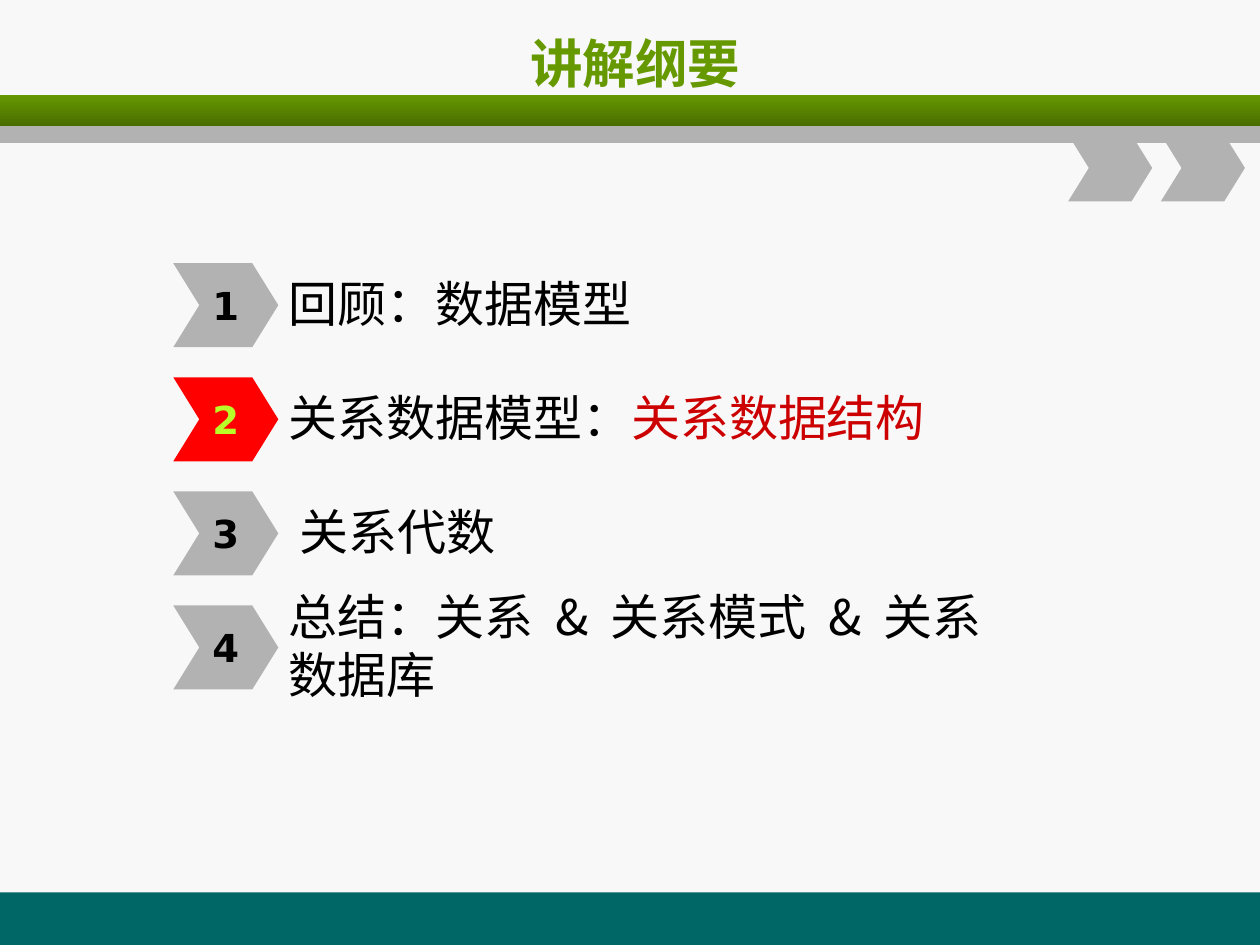
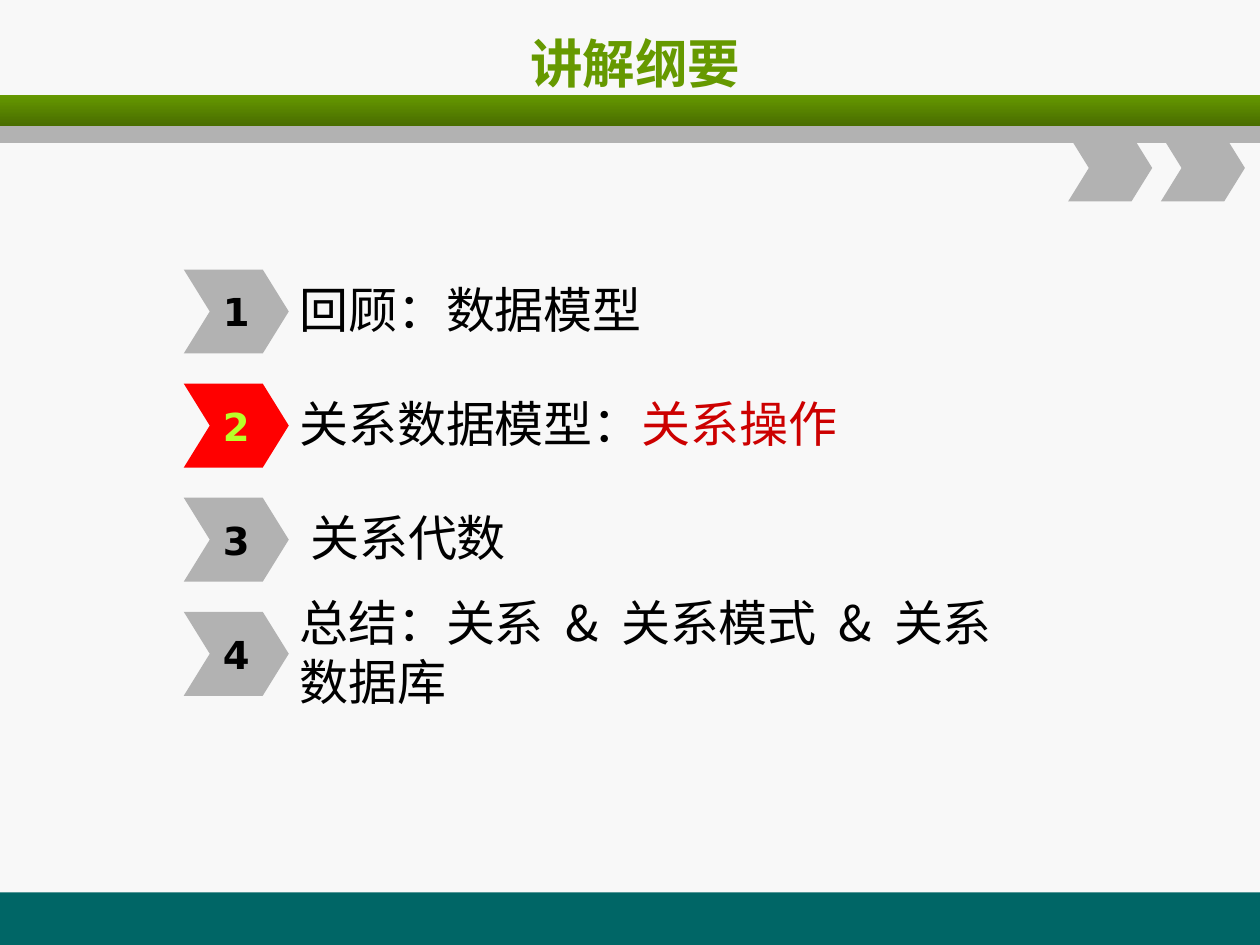
from dataclasses import dataclass

import pptx
import pptx.dml.color
import pptx.enum.shapes
import pptx.enum.text
import pptx.util

Pt = pptx.util.Pt
SHAPE = pptx.enum.shapes.MSO_SHAPE
ALIGN = pptx.enum.text.PP_ALIGN


@dataclass(frozen=True)
class Theme:
    background: str = "F8F8F8"
    green: str = "669900"
    dark_green: str = "496D00"
    gray: str = "B2B2B2"
    teal: str = "006666"
    black: str = "000000"
    active: str = "FF0000"
    active_number: str = "B8FF29"
    emphasis: str = "CC0000"
    heading_font: str = "DejaVu Sans"
    topic_font: str = "Noto Sans CJK JP"
    title_size: float = 30
    topic_size: float = 28
    number_size: float = 22
    ampersand_tracking: float = 6.3


THEME = Theme()
SLIDE_WIDTH, SLIDE_HEIGHT = 720, 540
ROW_PITCH = 65.2
ACTIVE_ROW = 2
CHEVRON_POINT = 0.31


def rgb(color):
    return pptx.dml.color.RGBColor.from_string(color)


def write_text(holder, text, *, size, font, color=THEME.black, bold=False,
               align=ALIGN.LEFT, wrap=False, inset=7.2):
    """Text is a string or a list of (string, colour, tracking) runs."""
    frame = holder.text_frame
    frame.word_wrap = wrap
    frame.vertical_anchor = pptx.enum.text.MSO_ANCHOR.MIDDLE
    frame.margin_left = frame.margin_right = Pt(inset)
    paragraph = frame.paragraphs[0]
    paragraph.alignment = align
    pieces = [(text, color, 0)] if isinstance(text, str) else text
    for words, words_color, tracking in pieces:
        run = paragraph.add_run()
        run.text = words
        run.font.size = Pt(size)
        run.font.name = font
        run.font.bold = bold
        run.font.color.rgb = rgb(words_color)
        properties = run.font._element
        if tracking:
            properties.set("spc", str(round(tracking * 100)))
        east_asian = properties.makeelement(pptx.oxml.ns.qn("a:ea"), {"typeface": font})
        properties.append(east_asian)


def add_block(slide, preset, box, color):
    block = slide.shapes.add_shape(preset, *map(Pt, box))
    block.shadow.inherit = False
    block.fill.solid()
    block.fill.fore_color.rgb = rgb(color)
    block.line.fill.background()
    return block


def add_chevron(slide, box, color):
    chevron = add_block(slide, SHAPE.CHEVRON, box, color)
    chevron.adjustments[0] = CHEVRON_POINT
    return chevron


def add_header(slide, left, top, width):
    green_band = add_block(slide, SHAPE.RECTANGLE, (left, top, width, 18), THEME.green)
    green_band.fill.gradient()
    green_band.fill.gradient_angle = 270
    for stop, color in zip(green_band.fill.gradient_stops, (THEME.green, THEME.dark_green)):
        stop.color.rgb = rgb(color)
    add_block(slide, SHAPE.RECTANGLE, (left, top + 18, width, 9.6), THEME.gray)
    for index in range(2):
        add_chevron(slide, (left + 610.4 + index * 53, top + 23, 48, 38), THEME.gray)


def add_footer(slide, left, top, width, height):
    add_block(slide, SHAPE.RECTANGLE, (left, top, width, height), THEME.teal)


def add_title(slide, title, left, top, width, height):
    title_box = slide.shapes.add_textbox(*map(Pt, (left, top, width, height)))
    write_text(title_box, title, size=THEME.title_size, font=THEME.heading_font,
               color=THEME.green, bold=True, align=ALIGN.CENTER, wrap=True)


def add_topic_row(slide, number, topic, left, top):
    active = number == ACTIVE_ROW
    topic_box = slide.shapes.add_textbox(*map(Pt, (left + 60, top + 1.5, 426, 42)))
    write_text(topic_box, topic, size=THEME.topic_size, font=THEME.topic_font, inset=6)
    marker = add_chevron(slide, (left, top, 60, 48), THEME.active if active else THEME.gray)
    write_text(marker, str(number), size=THEME.number_size, font=THEME.heading_font,
               color=THEME.active_number if active else THEME.black,
               bold=True, align=ALIGN.CENTER)


def summary_topic(parts):
    gap = (" ", THEME.black, THEME.ampersand_tracking)
    runs = []
    for part in parts:
        if runs:
            runs += [gap, ("&", THEME.black, 0), gap]
        runs.append((part, THEME.black, 0))
    return runs


def add_outline_slide(deck, current_topic, left, top):
    slide = deck.slides.add_slide(deck.slide_layouts[6])
    slide.background.fill.solid()
    slide.background.fill.fore_color.rgb = rgb(THEME.background)
    add_footer(slide, 0, 510, SLIDE_WIDTH, 30)
    add_header(slide, 0, 54, SLIDE_WIDTH)
    add_title(slide, "讲解纲要", 39, 12, 648, 48)
    topics = [
        "回顾：数据模型",
        [("关系数据模型：", THEME.black, 0), (current_topic, THEME.emphasis, 0)],
        " 关系代数",
        summary_topic(["总结：关系", "关系模式", "关系数据库"]),
    ]
    for number, topic in enumerate(topics, start=1):
        add_topic_row(slide, number, topic, left, top + (number - 1) * ROW_PITCH)


def main():
    deck = pptx.Presentation()
    deck.slide_width, deck.slide_height = Pt(SLIDE_WIDTH), Pt(SLIDE_HEIGHT)
    add_outline_slide(deck, "关系数据结构", 99, 150.4)
    add_outline_slide(deck, "关系操作", 105, 154)
    deck.save("out.pptx")


if __name__ == "__main__":
    main()
